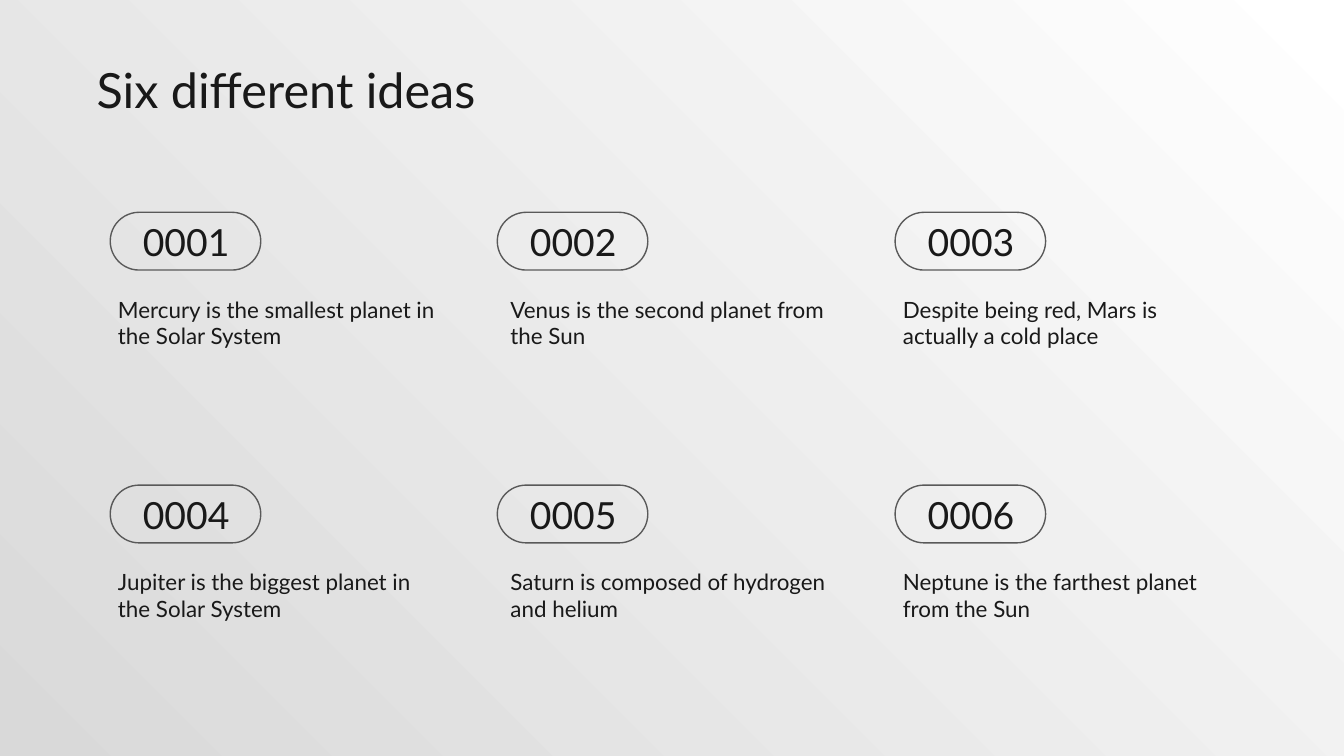
import pptx
import pptx.util
import pptx.dml.color
import pptx.enum.shapes
import pptx.enum.text
from dataclasses import dataclass

Inches = pptx.util.Inches
Pt = pptx.util.Pt
RGB = pptx.dml.color.RGBColor.from_string
ALIGN = pptx.enum.text.PP_ALIGN
ANCHOR = pptx.enum.text.MSO_ANCHOR


@dataclass
class Theme:
    font: str = "Lato"
    ink: str = "191919"
    outline: str = "595959"
    light: str = "FFFFFF"
    shade: str = "D9D9D9"
    title: int = 26
    number: int = 20
    body: int = 12


theme = Theme()
prs = pptx.Presentation()
prs.slide_width = Inches(10)
prs.slide_height = prs.slide_width * 9 // 16
s = prs.slides.add_slide(prs.slide_layouts[6])

fill = s.background.fill
fill.gradient()
fill.gradient_angle = 225
for stop, color in zip(fill.gradient_stops, (theme.light, theme.shade)):
    stop.color.rgb = RGB(color)


def add_text(text, left, top, width, height, size, align=ALIGN.LEFT, anchor=ANCHOR.TOP):
    sp = s.shapes.add_textbox(Inches(left), Inches(top), Inches(width), Inches(height))
    tf = sp.text_frame
    tf.word_wrap = True
    tf.vertical_anchor = anchor
    tf.margin_left = tf.margin_right = tf.margin_top = tf.margin_bottom = Inches(0.1)
    p = tf.paragraphs[0]
    p.alignment = align
    r = p.add_run()
    r.text = text
    r.font.name = theme.font
    r.font.size = Pt(size)
    r.font.color.rgb = RGB(theme.ink)


add_text("Six different ideas", 0.62, 0.35, 8.43, 0.63, size=theme.title)

ideas = [
    "Mercury is the smallest planet in the Solar System",
    "Venus is the second planet from the Sun",
    "Despite being red, Mars is actually a cold place",
    "Jupiter is the biggest planet in the Solar System",
    "Saturn is composed of hydrogen and helium",
    "Neptune is the farthest planet from the Sun",
]
pill_lefts = (0.82, 3.7, 6.66)
first_text, column_step = 0.78, 2.92
first_row, row_step = 1.58, 2.03

for i, idea in enumerate(ideas):
    row, column = divmod(i, len(pill_lefts))
    left = pill_lefts[column]
    top = first_row + row * row_step

    sp = s.shapes.add_shape(pptx.enum.shapes.MSO_SHAPE.ROUNDED_RECTANGLE,
                            Inches(left), Inches(top), Inches(1.12), Inches(0.43))
    sp.adjustments[0] = 0.5
    sp.shadow.inherit = False
    sp.fill.background()
    sp.line.color.rgb = RGB(theme.outline)
    sp.line.width = Pt(0.75)

    add_text(f"{i + 1:04d}", left + 0.09, top + 0.05, 0.95, 0.34,
             size=theme.number, align=ALIGN.CENTER, anchor=ANCHOR.MIDDLE)
    add_text(idea, first_text + column * column_step, top + 0.52, 2.6, 0.68, size=theme.body)

prs.save("out.pptx")
